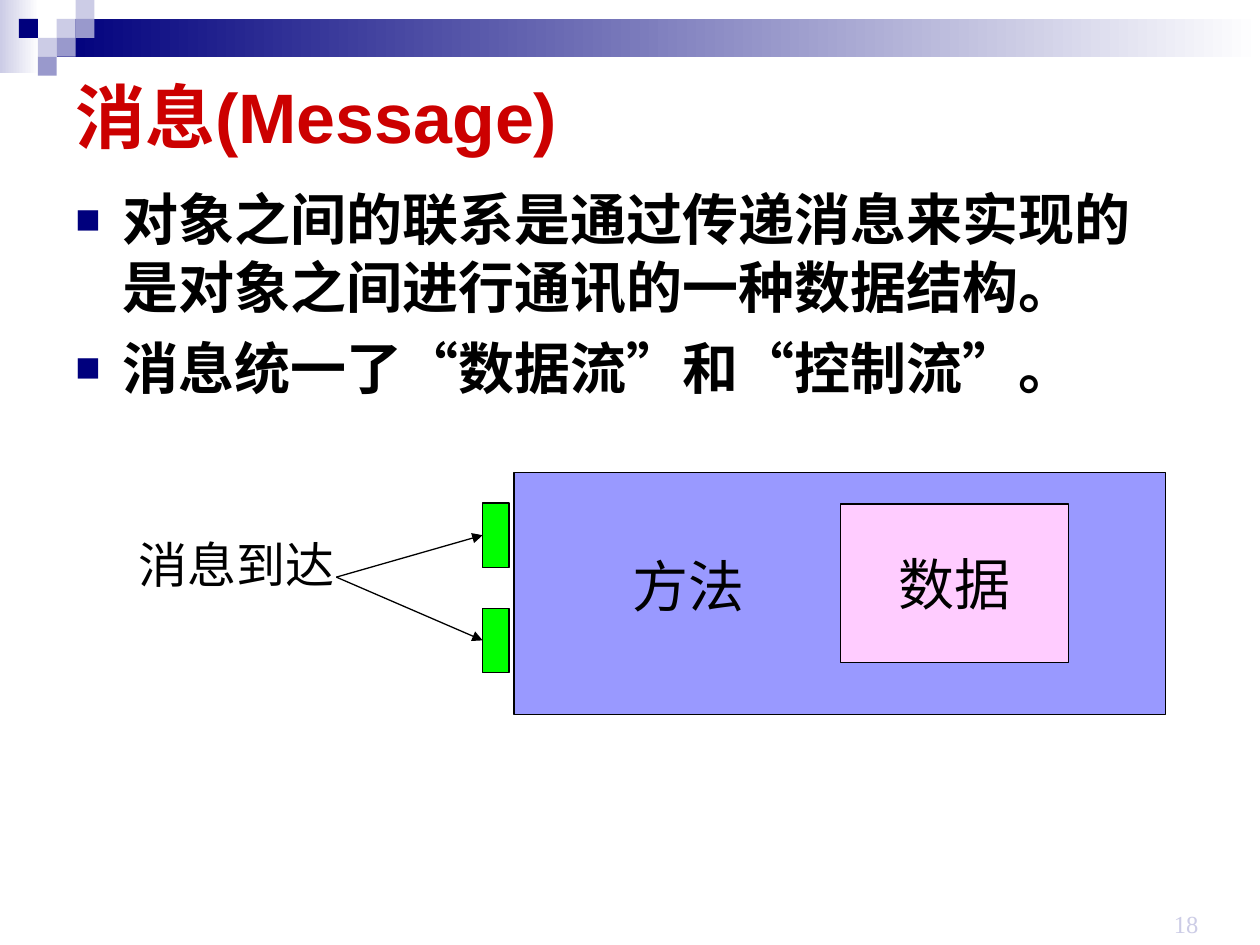
from lxml import etree
from pptx import Presentation
from pptx.dml.color import RGBColor
from pptx.enum.lang import MSO_LANGUAGE_ID
from pptx.enum.shapes import MSO_CONNECTOR, MSO_SHAPE
from pptx.enum.text import MSO_ANCHOR, MSO_AUTO_SIZE, PP_ALIGN
from pptx.oxml.ns import qn
from pptx.util import Pt

RECTANGLE = MSO_SHAPE.RECTANGLE
STRAIGHT = MSO_CONNECTOR.STRAIGHT
TOP, MIDDLE, BOTTOM = MSO_ANCHOR.TOP, MSO_ANCHOR.MIDDLE, MSO_ANCHOR.BOTTOM
LEFT, CENTER, RIGHT = PP_ALIGN.LEFT, PP_ALIGN.CENTER, PP_ALIGN.RIGHT
CHINESE = MSO_LANGUAGE_ID.SIMPLIFIED_CHINESE
LEFT_SIDE = 1

THEME = {
    "navy": "00007D", "lilac": "CCCCE6", "violet": "9999CC", "white": "FFFFFF",
    "red": "CC0000", "black": "000000",
    "object": "9999FF", "data": "FFCCFF", "port": "00FF00",
    "line": 0.75,
    "title": {"name": "Arial", "size": Pt(40), "bold": True},
    "body": {"name": "Arial", "size": Pt(32), "bold": True},
    "label": {"name": "Times New Roman", "size": Pt(32)},
    "caption": {"name": "Times New Roman", "size": Pt(28)},
    "number": {"name": "Times New Roman", "size": Pt(14)},
}

# Content: boxes are left, top, width, height in points
TITLE = "消息(Message)"
POINTS = [
    "对象之间的联系是通过传递消息来实现的是对象之间进行通讯的一种数据结构。",
    "消息统一了“数据流”和“控制流”。",
]
PAGE_NUMBER = "18"
TILE = 10.8
BANDS = [((0, 0, 22.3, 41.8), "lilac", "white"),
         ((32.4, TILE, 687.6, 21.6), "navy", "white")]
TILES = [(3, 1, "lilac"), (4, 0, "lilac"), (4, 1, "violet"), (2, 2, "lilac"),
         (1, 1, "navy"), (3, 2, "violet"), (2, 3, "violet")]  # column, row
OBJECT_BOX = (293.8, 270, 372.2, 138.2)
DATA_BOX = (480.2, 288, 130.3, 90.7)
PORT_LEFT, PORT_WIDTH, PORT_HEIGHT = 275.8, 15.1, 36.7
PORT_TOPS = [287.5, 347.6]
MESSAGE_START = (192.2, 329.8)
LABELS = [("方法", (354.2, 311.8, 78.5, 46.1), "label"),
          ("消息到达", (72, 301.7, 126, 41), "caption")]


def color(name):
    return RGBColor.from_string(THEME[name])


def points(values):
    return [Pt(value) for value in values]


def add_rectangle(page, box, fill, fade=None, outlined=False):
    shape = page.shapes.add_shape(RECTANGLE, *points(box))
    shape.shadow.inherit = False
    if fade:
        shape.fill.gradient()
        shape.fill.gradient_angle = 0
        for stop, name, position in zip(shape.fill.gradient_stops, (fill, fade), (0, 1)):
            stop.color.rgb = color(name)
            stop.position = position
    else:
        shape.fill.solid()
        shape.fill.fore_color.rgb = color(fill)
    if outlined:
        shape.line.color.rgb = color("black")
        shape.line.width = Pt(THEME["line"])
    else:
        shape.line.fill.background()
    return shape


def write(shape, lines, style, ink="black", anchor=TOP, align=LEFT, wrap=True):
    frame = shape.text_frame
    frame.word_wrap = wrap
    frame.auto_size = MSO_AUTO_SIZE.NONE if wrap else MSO_AUTO_SIZE.SHAPE_TO_FIT_TEXT
    frame.vertical_anchor = anchor
    for index, line in enumerate(lines):
        para = frame.paragraphs[0] if index == 0 else frame.add_paragraph()
        para.alignment = align
        span = para.add_run()
        span.text = line
        for key, value in THEME[style].items():
            setattr(span.font, key, value)
        span.font.language_id = CHINESE
        span.font.color.rgb = color(ink)
    return frame


def add_text(page, box, lines, style, **layout):
    return write(page.shapes.add_textbox(*points(box)), lines, style, **layout)


def add_bullet(para):
    para.space_before = Pt(8)
    props = para._p.get_or_add_pPr()
    props.set("marL", str(Pt(27)))
    props.set("indent", str(-Pt(27)))
    bullet_color = etree.SubElement(props, qn("a:buClr"))
    etree.SubElement(bullet_color, qn("a:srgbClr"), val=THEME["navy"])
    etree.SubElement(props, qn("a:buSzPct"), val="75000")
    etree.SubElement(props, qn("a:buFont"), typeface="Arial")
    etree.SubElement(props, qn("a:buChar"), char="■")


def add_arrow(page, start, target):
    end = (target.left, target.top + target.height // 2)
    arrow = page.shapes.add_connector(STRAIGHT, *points(start), *end)
    arrow.end_connect(target, LEFT_SIDE)
    arrow.line.color.rgb = color("black")
    arrow.line.width = Pt(THEME["line"])
    etree.SubElement(arrow.line._get_or_add_ln(), qn("a:tailEnd"), type="triangle")
    etree.SubElement(arrow._element.spPr, qn("a:effectLst"))


def main():
    deck = Presentation()
    deck.slide_width, deck.slide_height = Pt(720), Pt(540)
    page = deck.slides.add_slide(deck.slide_layouts[6])

    # Header decoration
    for box, fill, fade in BANDS:
        add_rectangle(page, box, fill, fade)
    for column, row, fill in TILES:
        add_rectangle(page, (column * TILE, row * TILE, TILE, TILE), fill)

    # Page number, title and bullets
    add_text(page, (606.2, 501.8, 85.7, 38.2), [PAGE_NUMBER], "number",
             ink="lilac", anchor=BOTTOM, align=RIGHT)
    add_text(page, (36, 36, 648, 59.8), [TITLE], "title", ink="red", anchor=MIDDLE)
    body = add_text(page, (36, 102.2, 648, 162.7), POINTS, "body")
    for para in body.paragraphs:
        add_bullet(para)

    # Object with its data and methods
    add_rectangle(page, OBJECT_BOX, "object", outlined=True)
    data = add_rectangle(page, DATA_BOX, "data", outlined=True)
    write(data, ["数据"], "label", anchor=MIDDLE, align=CENTER)
    for text, box, style in LABELS:
        add_text(page, box, [text], style, wrap=False)

    # Ports and arriving messages
    for top in PORT_TOPS:
        port = add_rectangle(page, (PORT_LEFT, top, PORT_WIDTH, PORT_HEIGHT),
                             "port", outlined=True)
        add_arrow(page, MESSAGE_START, port)

    deck.save("out.pptx")


if __name__ == "__main__":
    main()
